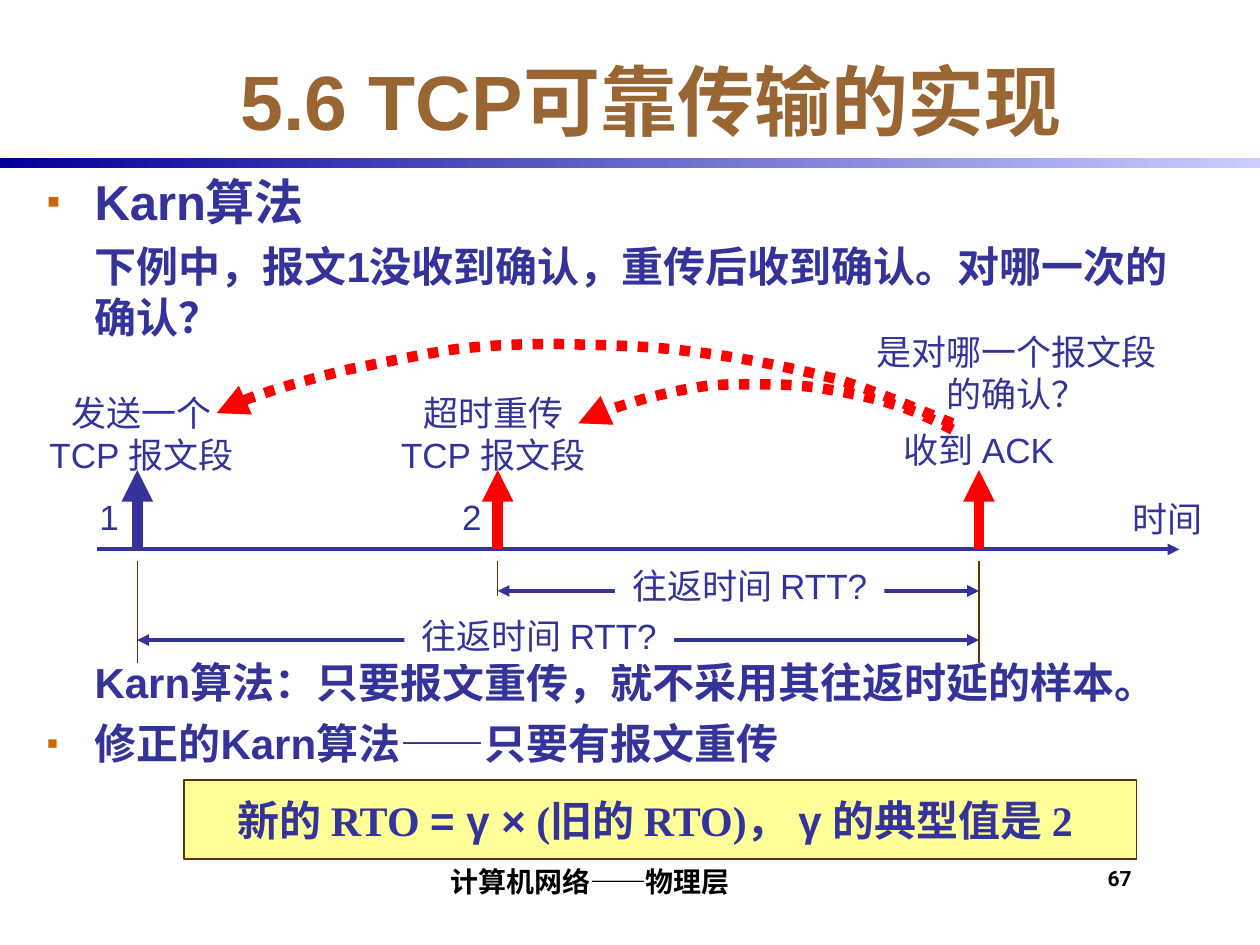
from lxml import etree
from pptx import Presentation
from pptx import util as u
from pptx.dml.color import RGBColor
from pptx.enum import dml, shapes, text
from pptx.oxml.ns import qn

COLORS = {"ink": "333399", "title": "996633", "bullet": "CC6600", "red": "FF0000",
          "brown": "663300", "yellow": "FFFF99", "white": "FFFFFF", "black": "000000",
          "bar_dark": "000099", "bar_light": "CCCCFF"}

TITLE = "5.6 TCP可靠传输的实现"
# text, size, space before, bulleted
BODY = [
    ("Karn算法", 28, 0, True),
    ("下例中，报文1没收到确认，重传后收到确认。对哪一次的确认？", 24, 6, False),
    ("Karn算法：只要报文重传，就不采用其往返时延的样本。", 24, 180, False),
    ("修正的Karn算法——只要有报文重传", 24, 6, True),
]
SEND, RESEND, ACK = 1.09, 3.95, 7.77   # moments on the time axis
AXIS_Y = 4.36
# start, arrow y, label left, label top, bottom of the start's guide line
ROUND_TRIPS = [(RESEND, 4.69, 4.88, 4.43, 4.73), (SEND, 5.08, 3.21, 4.83, 5.26)]
EVENTS = [(SEND, "ink"), (RESEND, "red"), (ACK, "red")]
# left, top, width, lines
LABELS = [
    (0.26, 3.06, 1.73, ["发送一个", "TCP 报文段"]),
    (3.05, 3.06, 1.73, ["超时重传", "TCP 报文段"]),
    (7.04, 3.35, 1.46, ["收到 ACK"]),
    (8.89, 3.9, 0.75, ["时间"]),
    (0.69, 3.88, 0.35, ["1"]),
    (3.57, 3.88, 0.35, ["2"]),
    (6.86, 2.57, 2.42, ["是对哪一个报文段", "的确认？"]),
]
# start point, then two handles and an end point for each Bezier piece
ACK_CURVES = [
    [(7.56, 3.41),
     (7.48, 3.37), (7.27, 3.26), (7.09, 3.21), (6.91, 3.15), (6.69, 3.11), (6.5, 3.08),
     (6.31, 3.05), (6.13, 3.05), (5.97, 3.05), (5.81, 3.05), (5.7, 3.05), (5.56, 3.07),
     (5.42, 3.09), (5.26, 3.13), (5.13, 3.16), (5, 3.2), (4.87, 3.24), (4.78, 3.27),
     (4.69, 3.3), (4.64, 3.33), (4.59, 3.36)],
    [(7.56, 3.36),
     (7.4, 3.3), (6.98, 3.11), (6.64, 3.01), (6.29, 2.92), (5.85, 2.83), (5.48, 2.79),
     (5.11, 2.74), (4.74, 2.74), (4.43, 2.73), (4.13, 2.73), (3.9, 2.74), (3.63, 2.77),
     (3.35, 2.81), (3.04, 2.88), (2.78, 2.93), (2.53, 2.99), (2.28, 3.06), (2.1, 3.12),
     (1.92, 3.18), (1.83, 3.23), (1.72, 3.28)],
]
FORMULA = [("新的 RTO ", "Times New Roman"), ("= γ ×", "Arial"),
           (" (旧的 RTO)， ", "Times New Roman"), ("γ", "Arial"),
           (" 的典型值是 2", "Times New Roman")]


def rgb(name):
    return RGBColor.from_string(COLORS[name])


def add_span(para, words, size, color="ink", bold=False, font="Arial"):
    span = para.add_run()
    span.text = words
    span.font.size, span.font.bold, span.font.name = u.Pt(size), bold, font
    span.font.color.rgb = rgb(color)


def set_frame(shape, wrap, anchor=text.MSO_ANCHOR.TOP, insets=(0.1, 0.05, 0.1, 0.05)):
    frame = shape.text_frame
    frame.auto_size = text.MSO_AUTO_SIZE.NONE
    frame.word_wrap, frame.vertical_anchor = wrap, anchor
    (frame.margin_left, frame.margin_top,
     frame.margin_right, frame.margin_bottom) = map(u.Inches, insets)
    return frame


def place(shape, *area):
    shape.left, shape.top, shape.width, shape.height = map(u.Inches, area)


def next_para(frame, index):
    return frame.add_paragraph() if index else frame.paragraphs[0]


def add_box(page, *area, fill=None, line=None):
    box = page.shapes.add_shape(shapes.MSO_SHAPE.RECTANGLE, *map(u.Inches, area))
    box.shadow.inherit = False
    if fill:
        box.fill.solid()
        box.fill.fore_color.rgb = rgb(fill)
    if line:
        box.line.color.rgb = rgb(line)
        box.line.width = u.Pt(1)
    else:
        box.line.fill.background()
    return box


def write_label(box, lines):
    frame = set_frame(box, False)
    for index, words in enumerate(lines):
        para = next_para(frame, index)
        para.alignment = text.PP_ALIGN.CENTER
        add_span(para, words, 20)


def style_line(shape, color, width, ends=()):
    shape.line.color.rgb = rgb(color)
    shape.line.width = u.Pt(width)
    for end in ends:
        etree.SubElement(shape.line._get_or_add_ln(), qn(f"a:{end}"), type="triangle")


def add_line(page, start, finish, color, width, ends=()):
    line = page.shapes.add_connector(shapes.MSO_CONNECTOR.STRAIGHT,
                                     *map(u.Inches, start + finish))
    style_line(line, color, width, ends)
    etree.SubElement(line._element.spPr, qn("a:effectLst"))


def add_curve(page, points):
    builder = page.shapes.build_freeform(*points[0], scale=u.Inches(1) / 1.0)
    # Work in hundredths of an inch so that coordinates stay whole numbers
    grid = [(round(x * 100), round(y * 100)) for x, y in points]
    builder = page.shapes.build_freeform(*grid[0], scale=u.Inches(0.01))
    builder.add_line_segments(grid[1:], close=False)
    curve = builder.convert_to_shape()
    curve.shadow.inherit = False
    curve.fill.background()
    curve.line.dash_style = dml.MSO_LINE.ROUND_DOT
    style_line(curve, "red", 6, ["tailEnd"])
    # Turn each three line segments into one Bezier piece
    outline = next(curve._element.iter(qn("a:path")))
    segments = outline.findall(qn("a:lnTo"))
    for first in range(0, len(segments), 3):
        piece = etree.SubElement(outline, qn("a:cubicBezTo"))
        for segment in segments[first:first + 3]:
            piece.append(segment[0])
            outline.remove(segment)


def add_bullet(para):
    props = para._p.get_or_add_pPr()
    color = etree.SubElement(props, qn("a:buClr"))
    etree.SubElement(color, qn("a:srgbClr"), val=COLORS["bullet"])
    etree.SubElement(props, qn("a:buSzPct"), val="80000")
    etree.SubElement(props, qn("a:buFont"), typeface="Arial")
    etree.SubElement(props, qn("a:buChar"), char="▪")


def fill_placeholders(page):
    title, body = page.placeholders[0], page.placeholders[1]
    place(title, 0.92, 0.33, 8.5, 0.92)
    para = set_frame(title, True, text.MSO_ANCHOR.MIDDLE).paragraphs[0]
    para.alignment = text.PP_ALIGN.CENTER
    add_span(para, TITLE, 44, "title", True)

    place(body, 0.27, 1.31, 9.29, 5)
    frame = set_frame(body, True)
    for index, (words, size, before, bulleted) in enumerate(BODY):
        para = next_para(frame, index)
        para.space_before = u.Pt(before)
        props = para._p.get_or_add_pPr()
        props.set("marL", str(u.Inches(0.38)))
        props.set("indent", str(u.Inches(-0.38 if bulleted else 0)))
        if bulleted:
            add_bullet(para)
        else:
            etree.SubElement(props, qn("a:buNone"))
        add_span(para, words, size, bold=True)


def draw_timeline(page):
    for start, y, left, top, bottom in ROUND_TRIPS:
        add_line(page, (start, y), (ACK, y), "ink", 2.25, ["headEnd", "tailEnd"])
        write_label(add_box(page, left, top, 2.14, 0.44, fill="white"), ["往返时间 RTT?"])
        add_line(page, (start, 4.45), (start, bottom), "brown", 0.75)
    add_line(page, (ACK, 4.45), (ACK, 5.26), "brown", 0.75)
    add_line(page, (0.77, AXIS_Y), (9.36, AXIS_Y), "ink", 2.25, ["tailEnd"])
    for x, color in EVENTS:
        add_line(page, (x, AXIS_Y), (x, 3.73), color, 6, ["tailEnd"])
    for points in ACK_CURVES:
        add_curve(page, points)
    for left, top, width, lines in LABELS:
        height = 0.11 + 0.33 * len(lines)
        area = map(u.Inches, (left, top, width, height))
        write_label(page.shapes.add_textbox(*area), lines)


def add_footer(page, area, words, size, align, anchor, insets):
    box = page.shapes.add_textbox(*map(u.Inches, area))
    para = set_frame(box, True, anchor, insets).paragraphs[0]
    para.alignment = align
    add_span(para, words, size, "black", True, "Roboto")


def main():
    deck = Presentation()
    deck.slide_width, deck.slide_height = u.Inches(10), u.Inches(7.5)
    page = deck.slides.add_slide(deck.slide_layouts[1])

    # Bar under the title
    bar = add_box(page, 0, 1.25, 10, 0.08)
    bar.fill.gradient()
    bar.fill.gradient_angle = 0
    for stop, name in zip(bar.fill.gradient_stops, ("bar_dark", "bar_light")):
        stop.color.rgb = rgb(name)

    fill_placeholders(page)
    draw_timeline(page)

    # Formula box
    box = add_box(page, 1.46, 6.19, 7.56, 0.63, fill="yellow", line="brown")
    para = set_frame(box, False, text.MSO_ANCHOR.MIDDLE, (0.1, 0.05, 0.18, 0.05)).paragraphs[0]
    para.alignment = text.PP_ALIGN.CENTER
    for words, font in FORMULA:
        add_span(para, words, 24, bold=True, font=font)

    # Footer and page number
    add_footer(page, (2.08, 6.75, 5.17, 0.42), "计算机网络——物理层", 16,
               text.PP_ALIGN.CENTER, text.MSO_ANCHOR.BOTTOM, (0.04, 0, 0, 0.04))
    add_footer(page, (8.75, 6.83, 0.58, 0.42), "67", 12,
               text.PP_ALIGN.LEFT, text.MSO_ANCHOR.TOP, (0.04, 0.04, 0, 0))
    deck.save("out.pptx")


if __name__ == "__main__":
    main()
